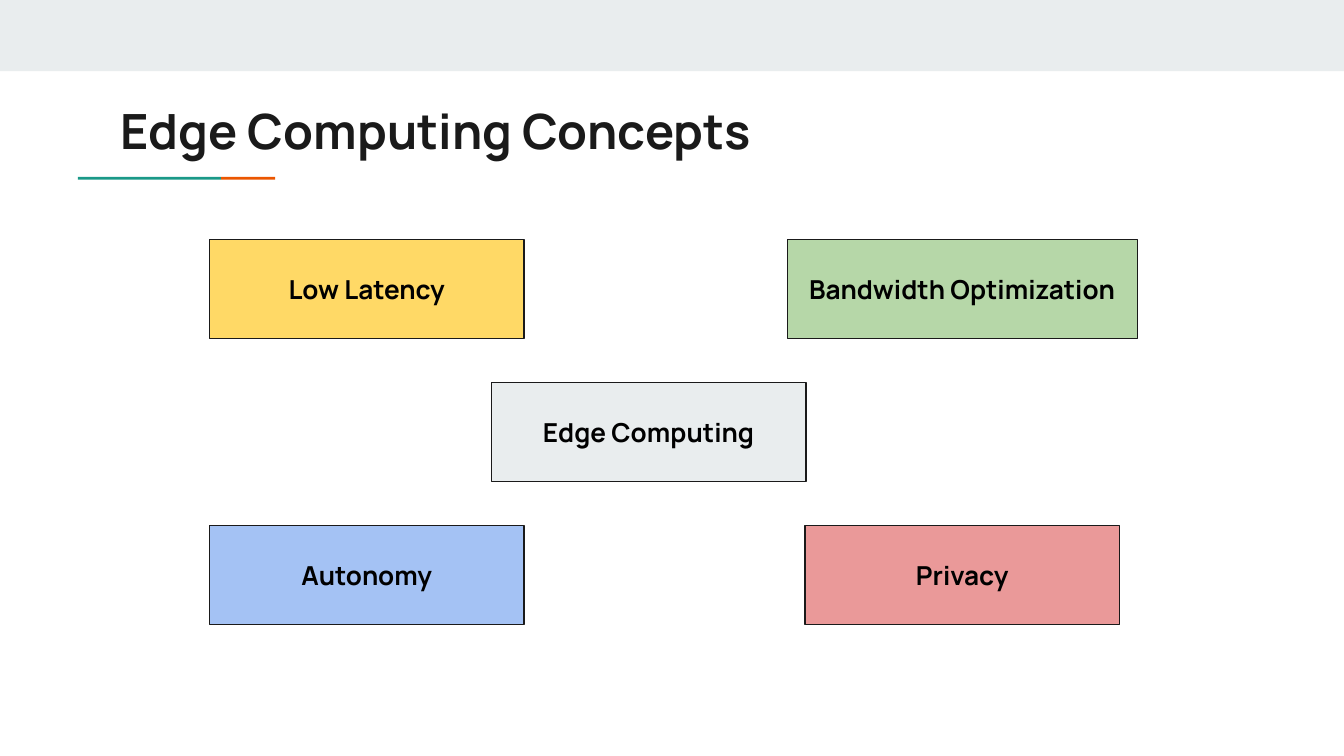
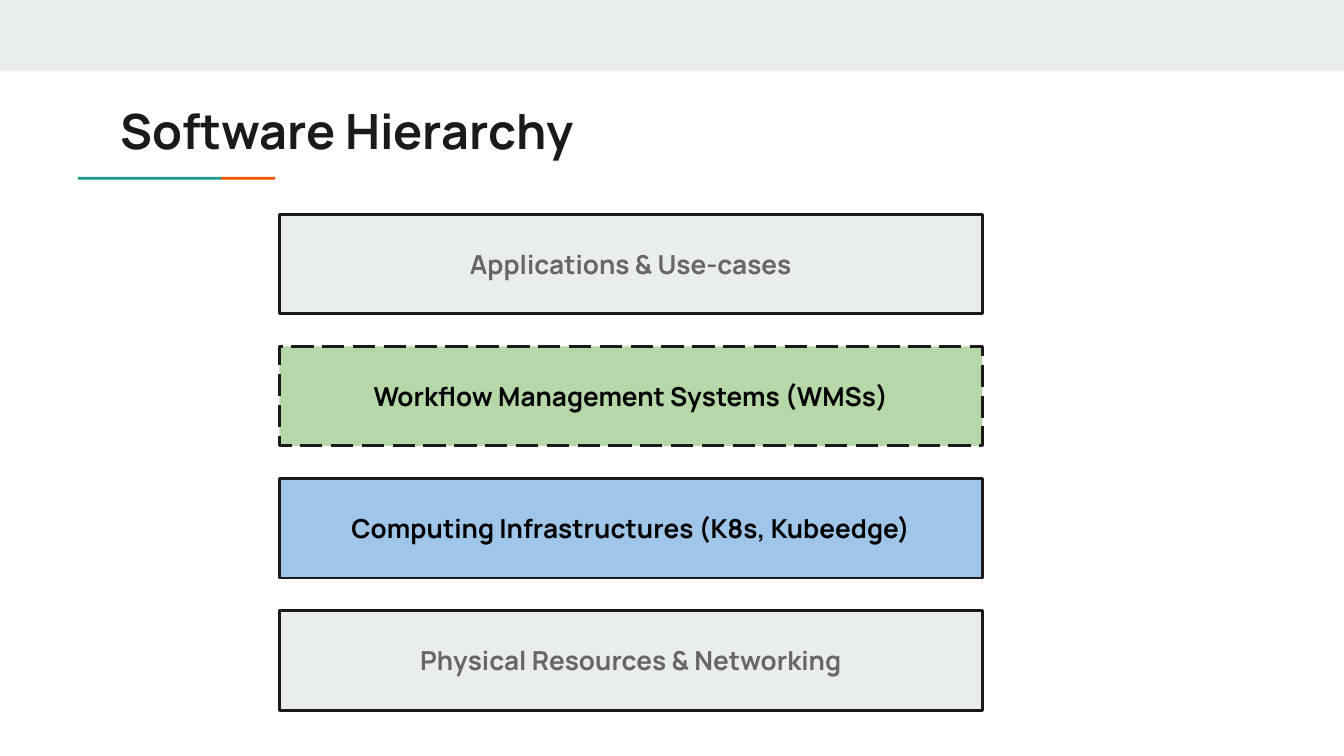
from pptx import Presentation
from pptx.dml.color import RGBColor as Rgb
from pptx.enum.dml import MSO_LINE as Dash
from pptx.enum.shapes import MSO_SHAPE as Shape
from pptx.enum.text import MSO_ANCHOR as Anchor, MSO_AUTO_SIZE as Fit, PP_ALIGN as Align
from pptx.util import Pt

HUES = {
    "ink": "1A1A1A", "black": "000000", "dim": "666666",
    "mist": "E9EDEE", "teal": "1A9988", "orange": "EB5600",
    "gold": "FFD966", "green": "B6D7A8", "blue": "A4C2F4",
    "sky": "9FC5E8", "rose": "EA9999",
}
FACE = "Manrope"
WIDE, TALL = 720, 405
INSET = 7.2
BOX_H = 53.3

# text, fill, centre x, row, width
IDEAS = [
    ("Edge Computing", "mist", 347.5, 1, 168.5),
    ("Low Latency", "gold", 196.5, 0, 168.5),
    ("Bandwidth Optimization", "green", 515.5, 0, 187.5),
    ("Autonomy", "blue", 196.5, 2, 168.5),
    ("Privacy", "rose", 515.5, 2, 168.5),
]
# text, fill, text colour, dash
LAYERS = [
    ("Applications & Use-cases", "mist", "dim", None),
    ("Workflow Management Systems (WMSs)", "green", "black", Dash.LONG_DASH),
    ("Computing Infrastructures (K8s, Kubeedge)", "sky", "black", None),
    ("Physical Resources & Networking", "mist", "dim", None),
]


def hue(name):
    return Rgb.from_string(HUES[name])


def put_text(shape, text, size, color, align, anchor):
    frame = shape.text_frame
    frame.word_wrap = True
    frame.auto_size = Fit.NONE
    frame.vertical_anchor = anchor
    frame.margin_left = frame.margin_right = Pt(INSET)
    frame.margin_top = frame.margin_bottom = Pt(INSET)
    para = frame.paragraphs[0]
    para.text = text
    para.alignment = align
    font = para.font
    font.name, font.size, font.bold = FACE, Pt(size), True
    font.color.rgb = hue(color)


def add_bar(slide, x, y, w, h, fill):
    """Add a plain filled rectangle without outline."""
    bar = slide.shapes.add_shape(Shape.RECTANGLE, Pt(x), Pt(y), Pt(w), Pt(h))
    bar.shadow.inherit = False
    bar.fill.solid()
    bar.fill.fore_color.rgb = hue(fill)
    bar.line.fill.background()
    return bar


def add_box(slide, x, y, w, text, fill, line, color="black", dash=None):
    """Add an outlined box with a centred label."""
    box = add_bar(slide, x, y, w, BOX_H, fill)
    box.line.color.rgb = hue("ink")
    box.line.width = Pt(line)
    if dash:
        box.line.dash_style = dash
    put_text(box, text, 14, color, Align.CENTER, Anchor.MIDDLE)


def add_page(deck, text):
    """Add a slide with the top band, the title and its two-tone rule."""
    slide = deck.slides.add_slide(deck.slide_layouts[5])
    add_bar(slide, 0, 0, WIDE, 38.2, "mist")
    add_bar(slide, 41.8, 94.8, 76.6, 1.5, "teal")
    add_bar(slide, 118.4, 94.8, 29, 1.5, "orange")
    title = slide.shapes.title
    title.left, title.top = Pt(57.4), Pt(46.8)
    title.width, title.height = Pt(605.5), Pt(42.5)
    put_text(title, text, 26, "ink", Align.LEFT, Anchor.TOP)
    return slide


def add_ideas(deck):
    slide = add_page(deck, "Edge Computing Concepts")
    for text, fill, mid, row, w in IDEAS:
        add_box(slide, mid - w / 2, 128.2 + 76.6 * row, w, text, fill, 0.75)


def add_layers(deck):
    slide = add_page(deck, "Software Hierarchy")
    for row, (text, fill, color, dash) in enumerate(LAYERS):
        add_box(slide, 149.7, 114.8 + 70.8 * row, 376.6, text, fill, 1.5,
                color, dash)


def main():
    deck = Presentation()
    deck.slide_width, deck.slide_height = Pt(WIDE), Pt(TALL)
    add_ideas(deck)
    add_layers(deck)
    deck.save("out.pptx")


if __name__ == "__main__":
    main()
